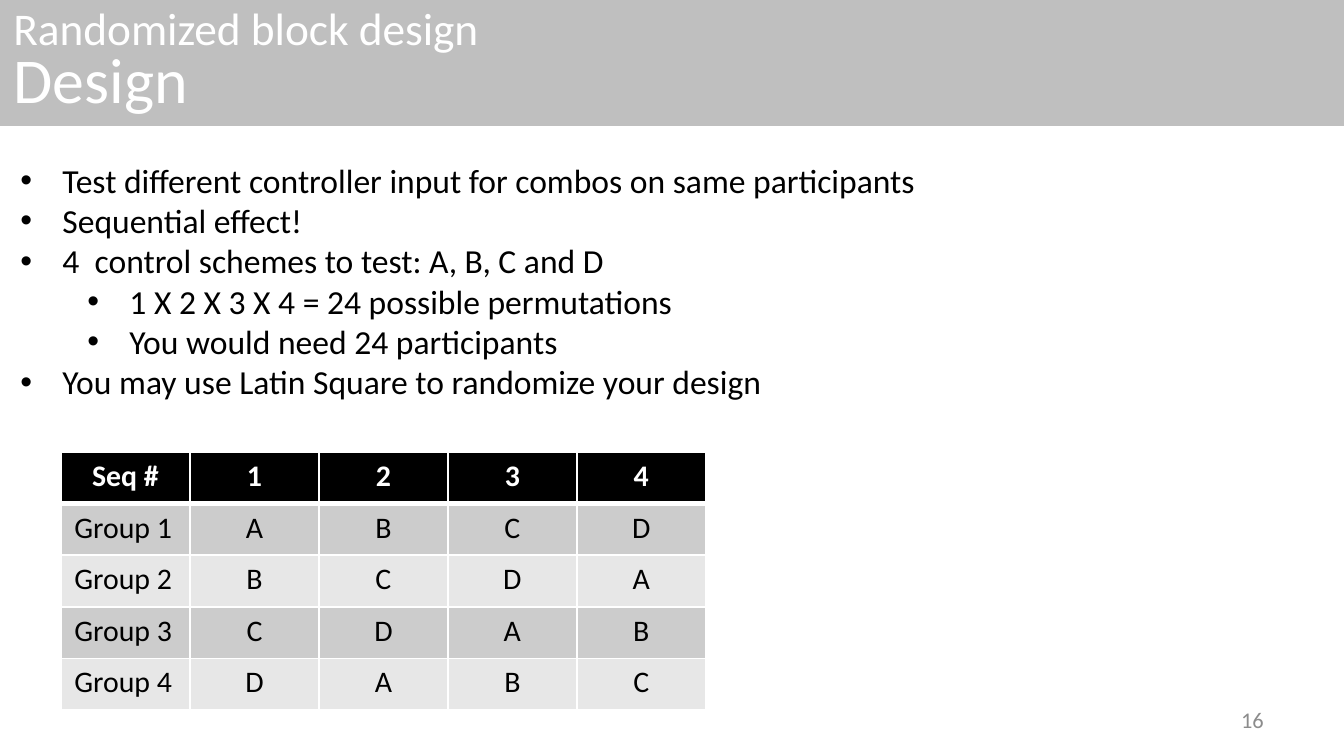
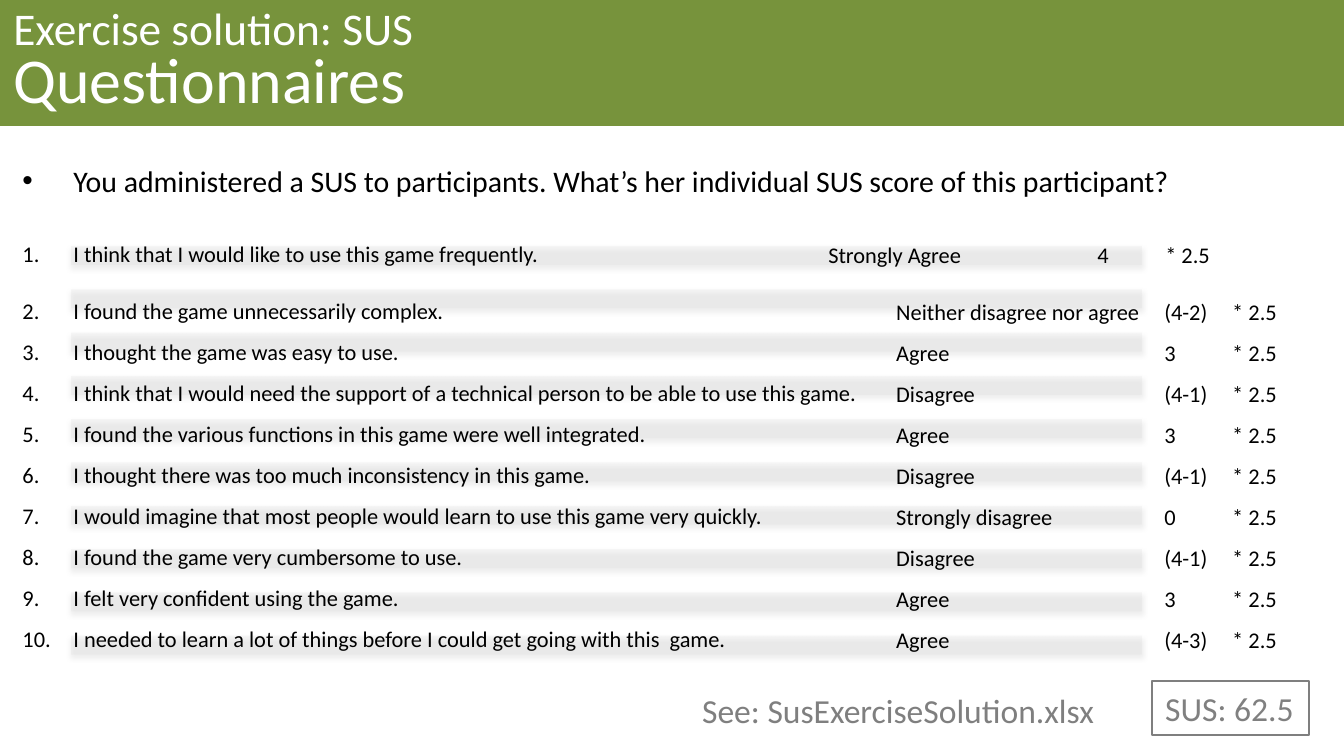
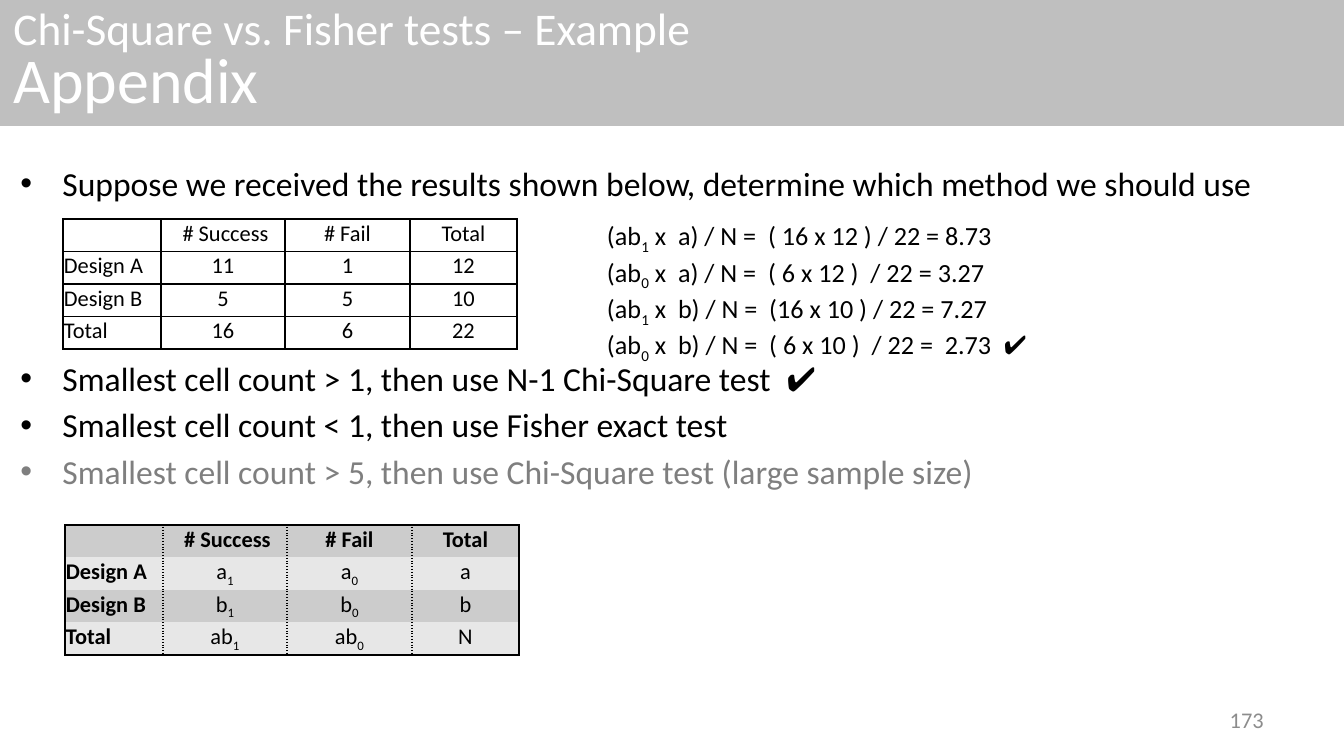
from lxml import etree
from pptx import Presentation
from pptx.dml.color import RGBColor
from pptx.enum.shapes import MSO_SHAPE
from pptx.enum.text import MSO_ANCHOR, MSO_AUTO_SIZE, PP_ALIGN
from pptx.oxml.ns import qn
from pptx.util import Emu, Pt

RECT = MSO_SHAPE.RECTANGLE
TOP, MIDDLE, BOTTOM = MSO_ANCHOR.TOP, MSO_ANCHOR.MIDDLE, MSO_ANCHOR.BOTTOM
LEFT, CENTER, RIGHT = PP_ALIGN.LEFT, PP_ALIGN.CENTER, PP_ALIGN.RIGHT
NO_AUTOFIT = MSO_AUTO_SIZE.NONE

EMU_PER_PX = 914400 / 134.4
WIDTH, HEIGHT = 1344, 756
BAND_HEIGHT = 126
FONT = "Calibri"
BLACK, WHITE = "000000", "FFFFFF"
BAND_GRAY, BAND_GREEN = "BFBFBF", "77933C"
ROW_DARK, ROW_LIGHT = "CCCCCC", "E7E7E7"
MUTED, PAGE_GRAY = "7F7F7F", "8C8C8C"

SUS_ROWS = [
    ("I think that I would like to use this game frequently.", "Strongly Agree", "4"),
    ("I found the game unnecessarily complex.", "Neither disagree nor agree", "(4-2)"),
    ("I thought the game was easy to use.", "Agree", "3"),
    ("I think that I would need the support of a technical person to be able to use this game.",
     "Disagree", "(4-1)"),
    ("I found the various functions in this game were well integrated.", "Agree", "3"),
    ("I thought there was too much inconsistency in this game.", "Disagree", "(4-1)"),
    ("I would imagine that most people would learn to use this game very quickly.",
     "Strongly disagree", "0"),
    ("I found the game very cumbersome to use.", "Disagree", "(4-1)"),
    ("I felt very confident using the game.", "Agree", "3"),
    ("I needed to learn a lot of things before I could get going with this  game.",
     "Agree", "(4-3)"),
]


def px(n):
    return Emu(round(n * EMU_PER_PX))


def rgb(color):
    return RGBColor.from_string(color)


def add_xml(parent, tag, **attrs):
    el = etree.SubElement(parent, qn(tag))
    for name, value in attrs.items():
        el.set(name, str(value))
    return el


def place(sp, x, y, w, h):
    sp.left, sp.top, sp.width, sp.height = px(x), px(y), px(w), px(h)


def set_font(p, size, color=BLACK, bold=False):
    p.font.name, p.font.size, p.font.bold = FONT, Pt(size), bold
    p.font.color.rgb = rgb(color)


def write(p, text):
    """Add text as runs; the character after each "_" is a subscript."""
    head, *tails = text.split("_")
    if head:
        p.add_run().text = head
    for tail in tails:
        r = p.add_run()
        r.text = tail[0]
        r.font._element.set("baseline", "-25000")
        if tail[1:]:
            p.add_run().text = tail[1:]


def next_paragraph(tf):
    return tf.paragraphs[0] if not tf.text else tf.add_paragraph()


def add_item(tf, text, size=18, color=BLACK, level=0, indent=42, before=0, numbered=False):
    p = next_paragraph(tf)
    write(p, text)
    p.level = level
    p.space_before = px(before)
    pPr = p._p.get_or_add_pPr()
    pPr.set("marL", str(px(indent + 67 * level)))
    pPr.set("indent", str(-px(indent)))
    if numbered:
        add_xml(pPr, "a:buFont", typeface="+mj-lt")
        add_xml(pPr, "a:buAutoNum", type="arabicPeriod")
    else:
        add_xml(pPr, "a:buFont", typeface="Arial")
        add_xml(pPr, "a:buChar", char="•")
    set_font(p, size, color)


def add_text(s, box, text, size, color, align=LEFT, anchor=TOP, wrap=True):
    x, y, w, h = map(px, box)
    sp = s.shapes.add_textbox(x, y, w, h)
    tf = sp.text_frame
    tf.word_wrap, tf.vertical_anchor = wrap, anchor
    p = tf.paragraphs[0]
    p.text, p.alignment = text, align
    set_font(p, size, color)
    return sp


def add_page_number(s, number):
    add_text(s, (964, 700, 313, 40), number, 12, PAGE_GRAY, RIGHT, MIDDLE)


def add_slide(prs, topic, section, band, body_box):
    """Add a slide with its title band; return it with the body's text frame."""
    s = prs.slides.add_slide(prs.slide_layouts[1])
    title, body = s.shapes.title, s.placeholders[1]
    place(title, 0, 0, WIDTH, BAND_HEIGHT)
    title.fill.solid()
    title.fill.fore_color.rgb = rgb(band)
    tf = title.text_frame
    tf.auto_size, tf.vertical_anchor = NO_AUTOFIT, MIDDLE
    for text, size in ((topic, 24.3), (section, 34.2)):
        p = next_paragraph(tf)
        p.text, p.alignment, p.line_spacing = text, LEFT, 0.8
        set_font(p, size, WHITE)
    place(body, *body_box)
    body.text_frame.auto_size = NO_AUTOFIT
    return s, body.text_frame


def set_borders(cell, borders):
    """Draw the sides given as (color, points, dash) and clear the others."""
    tcPr = cell._tc.get_or_add_tcPr()
    for side in "LRTB":
        if side not in borders:
            add_xml(add_xml(tcPr, f"a:ln{side}", w=0), "a:noFill")
            continue
        color, points, dash = borders[side]
        ln = add_xml(tcPr, f"a:ln{side}", w=Pt(points))
        add_xml(add_xml(ln, "a:solidFill"), "a:srgbClr", val=color)
        add_xml(ln, "a:prstDash", val=dash)


def add_grid(s, x, y, widths, height, rows, style, size, tight=True, anchor=TOP, spacing=1.0):
    """Add a table; style(row, column) gives fill, borders, text colour, bold and alignment."""
    table = s.shapes.add_table(len(rows), len(widths), px(x), px(y),
                               px(sum(widths)), px(height)).table
    table.first_row = table.horz_banding = False
    for column, width in zip(table.columns, widths):
        column.width = px(width)
    for i, row in enumerate(rows):
        for j, text in enumerate(row):
            fill, borders, color, bold, align = style(i, j)
            cell = table.cell(i, j)
            cell.vertical_anchor = anchor
            if tight:
                cell.margin_left = cell.margin_right = cell.margin_top = px(1)
                cell.margin_bottom = 0
            set_borders(cell, borders)
            if fill:
                cell.fill.solid()
                cell.fill.fore_color.rgb = rgb(fill)
            else:
                cell.fill.background()
            p = cell.text_frame.paragraphs[0]
            write(p, text)
            p.alignment, p.line_spacing = align, spacing
            set_font(p, size, color, bold)
            if not text:
                add_xml(p._p, "a:endParaRPr", sz=size * 100)


def sequence_style(i, j):
    thin, thick = (WHITE, 1, "solid"), (WHITE, 3, "solid")
    borders = {"L": thin, "R": thin, "T": thick if i == 1 else thin,
               "B": thick if i == 0 else thin}
    if i == 0:
        return BLACK, borders, WHITE, True, CENTER
    fill = ROW_DARK if i % 2 else ROW_LIGHT
    return fill, borders, BLACK, False, CENTER if j else LEFT


def counts_style(i, j):
    borders = dict.fromkeys("LRTB", (BLACK, 1, "solid"))
    return None, borders, BLACK, False, CENTER if j else LEFT


def symbols_style(i, j):
    solid, dotted = (BLACK, 1, "solid"), (BLACK, 1, "sysDot")
    borders = {"L": dotted if j else solid, "R": solid if j == 3 else dotted}
    if i == 0:
        borders["T"] = solid
    if i == 3:
        borders["B"] = solid
    fill = ROW_LIGHT if i % 2 else ROW_DARK
    return fill, borders, BLACK, i == 0 or j == 0, CENTER if j else LEFT


def formula_style(i, j):
    return None, {}, BLACK, False, LEFT


def block_design_slide(prs):
    s, tf = add_slide(prs, "Randomized block design", "Design", BAND_GRAY, (7, 153, 1243, 257))
    for level, text in (
        (0, "Test different controller input for combos on same participants"),
        (0, "Sequential effect!"),
        (0, "4  control schemes to test: A, B, C and D"),
        (1, "1 X 2 X 3 X 4 = 24 possible permutations"),
        (1, "You would need 24 participants"),
        (0, "You may use Latin Square to randomize your design"),
    ):
        add_item(tf, text, level=level)
    schemes = "ABCD"
    rows = [["Seq #", *"1234"]]
    rows += [[f"Group {i + 1}", *schemes[i:], *schemes[:i]] for i in range(4)]
    add_grid(s, 61, 452, [129] * 5, 258, rows, sequence_style, 16,
             tight=False, anchor=MIDDLE, spacing=0.8)
    add_page_number(s, "16")


def add_stripes(s, x, y, w, h, pitch, count):
    """Add translucent, softly shadowed stripes behind everything else."""
    group = s.shapes.add_group_shape()
    for i in range(count):
        sp = group.shapes.add_shape(RECT, px(x), px(y + i * pitch), px(w), px(h))
        sp.fill.solid()
        sp.fill.fore_color.rgb = rgb("D9D9D9")
        sp.line.fill.background()
        spPr = sp._element.spPr
        add_xml(spPr.find(".//" + qn("a:srgbClr")), "a:alpha", val=20000)
        shadow = add_xml(add_xml(spPr, "a:effectLst"), "a:outerShdw", blurRad=Pt(3.1),
                         dist=Pt(1.8), dir=5400000, rotWithShape=0)
        add_xml(add_xml(shadow, "a:srgbClr", val=BLACK), "a:alpha", val=35000)
    s.shapes.element.insert(2, group._element)


def add_answers(s, x, y, w, h, gaps):
    """Add the answer, score and factor columns beside the statements."""
    tf = s.shapes.add_textbox(px(x), px(y), px(w), px(h)).text_frame
    tf.word_wrap = True
    for i, ((_, answer, score), gap) in enumerate(zip(SUS_ROWS, gaps)):
        p = next_paragraph(tf)
        cells = [answer, score, "* 2.5"]
        stops = [269, 337]
        if i:
            cells, stops = ["", *cells], [68, 336, 404]
        p.text = "\t".join(cells)
        p.space_before = px(gap if i else 0)
        tabs = add_xml(p._p.get_or_add_pPr(), "a:tabLst")
        for stop in stops:
            add_xml(tabs, "a:tab", pos=px(stop), algn="l")
        set_font(p, 12)


def sus_slide(prs):
    s, tf = add_slide(prs, "Exercise solution: SUS", "Questionnaires", BAND_GREEN,
                      (9, 156, 1335, 566))
    add_stripes(s, 71, 246, 1071, 19, 43.3, len(SUS_ROWS))
    add_item(tf, "You administered a SUS to participants. "
             "What’s her individual SUS score of this participant?", size=16, indent=51)
    gaps = [42, 30] + [14] * 8
    for (statement, _, _), gap in zip(SUS_ROWS, gaps):
        add_item(tf, statement, size=12, indent=51, before=gap, numbered=True)
    add_answers(s, 815, 235, 529, 430, gaps)
    score = add_text(s, (1152, 681, 157, 54), "SUS: 62.5", 18, "808080", wrap=False)
    score.line.color.rgb = rgb(MUTED)
    score.line.width = Pt(0.75)
    add_text(s, (689, 683, 425, 54), "See: SusExerciseSolution.xlsx", 18, MUTED, wrap=False)


def test_choice_slide(prs):
    s, tf = add_slide(prs, "Chi-Square vs. Fisher tests – Example", "Appendix", BAND_GRAY,
                      (7, 156, 1315, 499))
    for text, before, color in (
        ("Suppose we received the results shown below, determine which method we should use",
         0, BLACK),
        ("Smallest cell count > 1, then use N-1 Chi-Square test  ✔️", 155, BLACK),
        ("Smallest cell count < 1, then use Fisher exact test", 6, BLACK),
        ("Smallest cell count > 5, then use Chi-Square test (large sample size)", 6, MUTED),
    ):
        add_item(tf, text, color=color, before=before)
    header = ["", " # Success", "# Fail", "Total"]
    names = ["Design A", "Design B", "Total"]
    counts = [["11", "1", "12"], ["5", "5", "10"], ["16", "6", "22"]]
    symbols = [["a_1", "a_0", "a"], ["b_1", "b_0", "b"], ["ab_1", "ab_0", "N"]]
    for x, y, values, style in ((65, 525, symbols, symbols_style),
                                (63, 219, counts, counts_style)):
        rows = [header] + [[name, *row] for name, row in zip(names, values)]
        add_grid(s, x, y, [98, 124, 125, 107], 130, rows, style, 12)
    formulas = [
        ["(ab_1 x  a) / N =  ( 16 x 12 ) / 22 = 8.73"],
        ["(ab_0 x  a) / N =  ( 6 x 12 )  / 22 = 3.27"],
        ["(ab_1 x  b) / N =  (16 x 10 ) / 22 = 7.27"],
        ["(ab_0 x  b) / N =  ( 6 x 10 )  / 22 =  2.73  ✔️"],
    ]
    add_grid(s, 606, 220, [489], 134, formulas, formula_style, 14, anchor=BOTTOM)
    add_page_number(s, "173")


def main():
    prs = Presentation()
    prs.slide_width, prs.slide_height = px(WIDTH), px(HEIGHT)
    block_design_slide(prs)
    sus_slide(prs)
    test_choice_slide(prs)
    prs.save("out.pptx")


if __name__ == "__main__":
    main()
